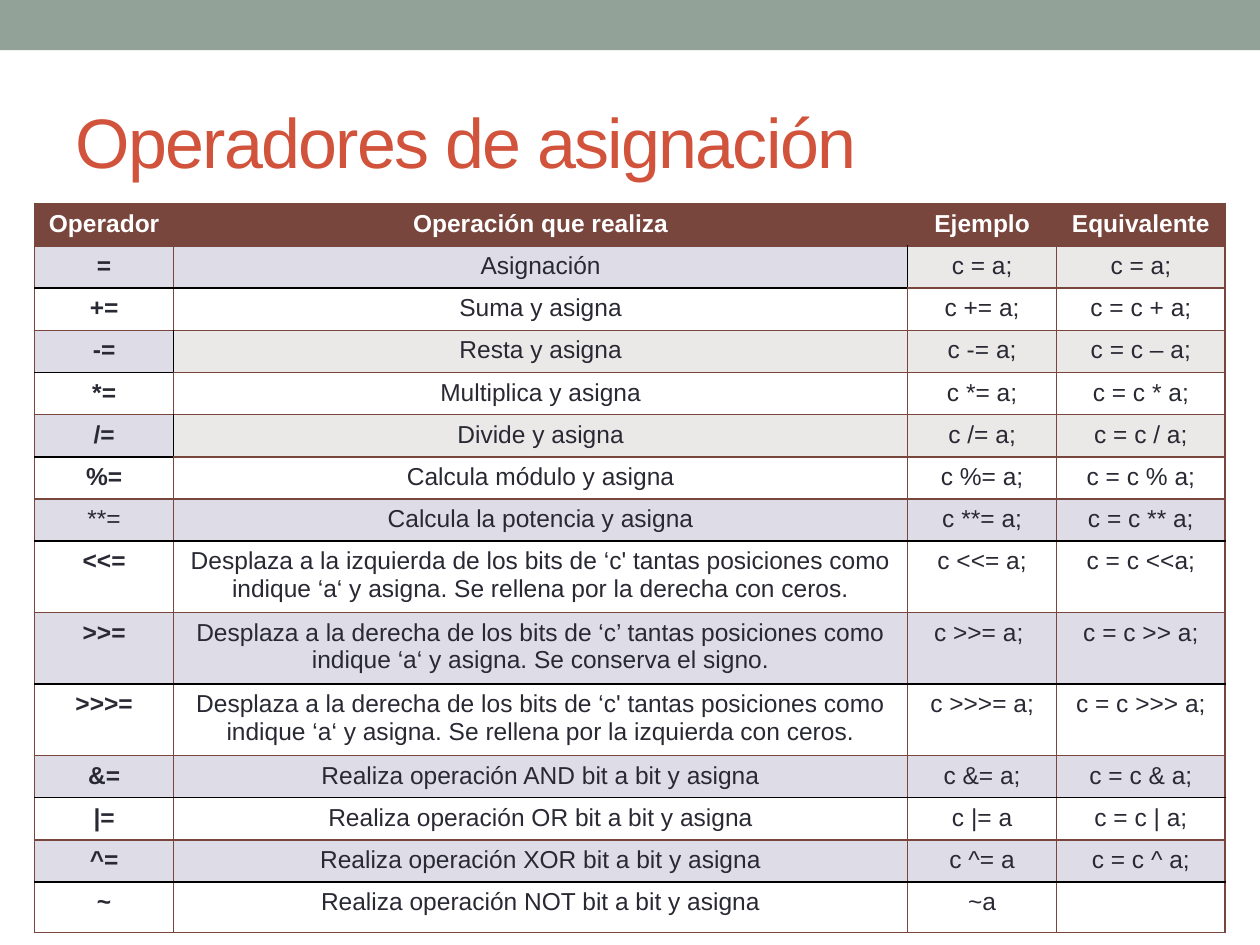
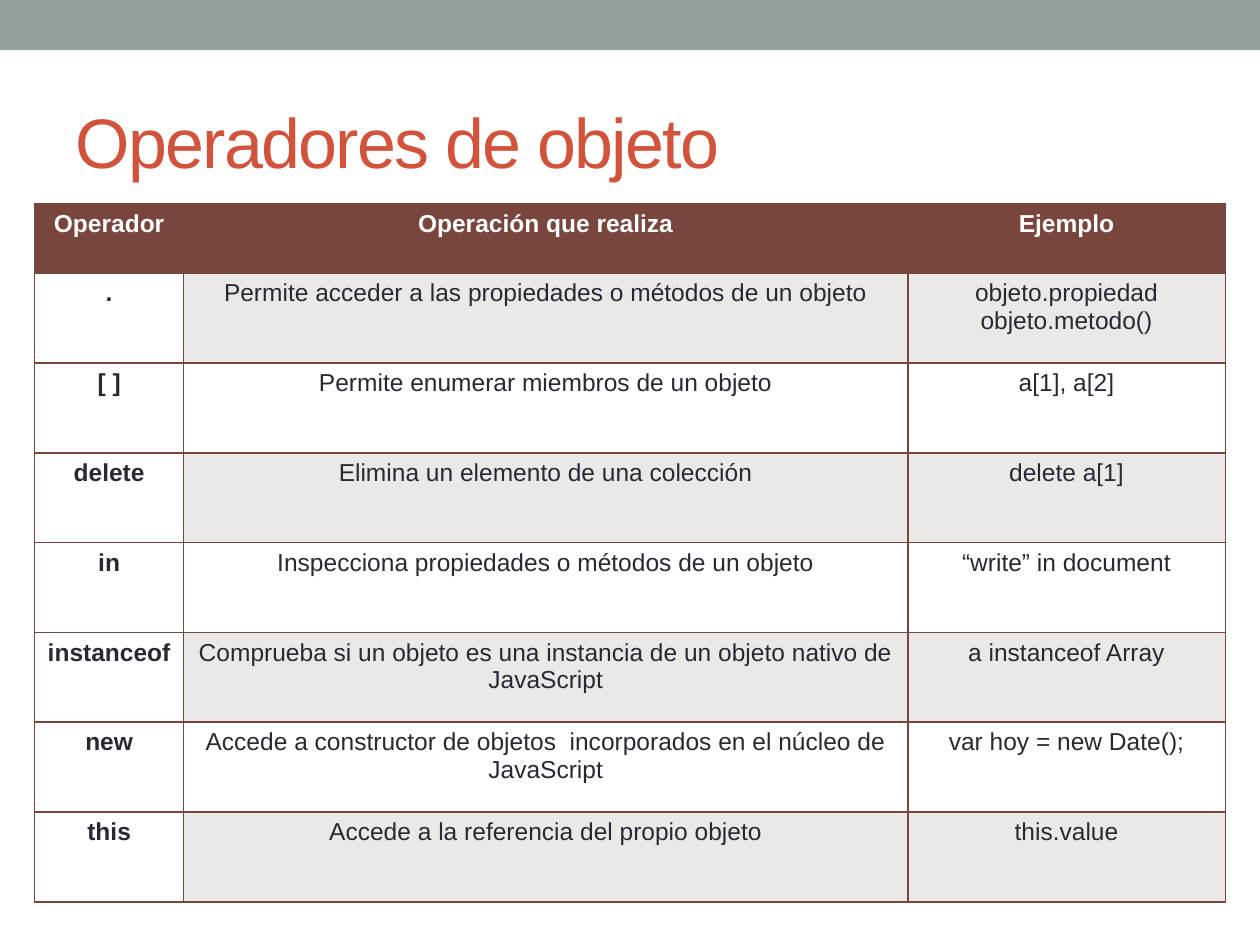
import pptx
import pptx.dml.color
import pptx.enum.shapes
import pptx.enum.text
import pptx.oxml
import pptx.oxml.ns
import pptx.util
from lxml import etree

Cm, Pt = pptx.util.Cm, pptx.util.Pt
qn = pptx.oxml.ns.qn

FONT = "Arial"
BAND, TITLE, BROWN = "93A299", "D2533C", "79463D"
INK, WHITE, BLACK = "292934", "FFFFFF", "000000"
LAVENDER, GREY = "DEDCE6", "EBE8E8"
FILLS = {"H": BROWN, "L": LAVENDER, "G": GREY, "W": WHITE}

# Each row: fill code of every cell, then the cell texts
ASSIGNMENT = {
    "title": "Operadores de asignación",
    "widths": [2.8, 14.8, 3.0, 3.4],
    "heights": [0.85] * 8 + [1.44] * 3 + [0.85] * 3 + [1.02],
    "regular": ["**="],
    "rows": [
        ("HHHH", "Operador", "Operación que realiza", "Ejemplo", "Equivalente"),
        ("LLGG", "=", "Asignación", "c = a;", "c = a;"),
        ("WWWW", "+=", "Suma y asigna", "c += a;", "c = c + a;"),
        ("LGGG", "-=", "Resta y asigna", "c -= a;", "c = c – a;"),
        ("WWWW", "*=", "Multiplica y asigna", "c *= a;", "c = c * a;"),
        ("LGGG", "/=", "Divide y asigna", "c /= a;", "c = c / a;"),
        ("WWWW", "%=", "Calcula módulo y asigna", "c %= a;", "c = c % a;"),
        ("LLLL", "**=", "Calcula la potencia y asigna", "c **= a;", "c = c ** a;"),
        ("WWWW", "<<=",
         "Desplaza a la izquierda de los bits de ‘c' tantas posiciones como "
         "indique ‘a‘ y asigna. Se rellena por la derecha con ceros.",
         "c <<= a;", "c = c <<a;"),
        ("LLLL", ">>=",
         "Desplaza a la derecha de los bits de ‘c’ tantas posiciones como "
         "indique ‘a‘ y asigna. Se conserva el signo.",
         "c >>= a; ", "c = c >> a;"),
        ("WWWW", ">>>=",
         "Desplaza a la derecha de los bits de ‘c' tantas posiciones como "
         "indique ‘a‘ y asigna. Se rellena por la izquierda con ceros.",
         "c >>>= a;", "c = c >>> a;"),
        ("LLLL", "&=", "Realiza operación AND bit a bit y asigna", "c &= a;", "c = c & a;"),
        ("WWWW", "|=", "Realiza operación OR bit a bit y asigna", "c |= a", "c = c | a;"),
        ("LLLL", "^=", "Realiza operación XOR bit a bit y asigna", "c ^= a", "c = c ^ a;"),
        ("WWWW", "~", "Realiza operación NOT bit a bit y asigna", "~a", ""),
    ],
}
OBJECT = {
    "title": "Operadores de objeto",
    "widths": [3.0, 14.6, 6.4],
    "heights": [1.4] + [1.81] * 7,
    "regular": [],
    "rows": [
        ("HHH", "Operador", "Operación que realiza", "Ejemplo"),
        ("WGG", ".", "Permite acceder a las propiedades o métodos de un objeto",
         "objeto.propiedad\nobjeto.metodo()"),
        ("WWW", "[ ]", "Permite enumerar miembros de un objeto", "a[1], a[2]"),
        ("WGG", "delete", "Elimina un elemento de una colección", "delete a[1]"),
        ("WWW", "in", "Inspecciona propiedades o métodos de un objeto",
         "“write” in document"),
        ("WGG", "instanceof",
         "Comprueba si un objeto es una instancia de un objeto nativo de JavaScript",
         "a instanceof Array"),
        ("WWW", "new",
         "Accede a constructor de objetos  incorporados en el núcleo de JavaScript",
         "var hoy = new Date();"),
        ("WGG", "this", "Accede a la referencia del propio objeto", "this.value"),
    ],
}


def rgb(color):
    return pptx.dml.color.RGBColor.from_string(color)


def set_font(p, size, color, bold=False):
    p.font.name, p.font.size, p.font.bold = FONT, Pt(size), bold
    p.font.color.rgb = rgb(color)


def add_band(s, width):
    sp = s.shapes.add_shape(pptx.enum.shapes.MSO_SHAPE.RECTANGLE, 0, 0, width, Cm(1.01))
    sp.shadow.inherit = False
    sp.fill.solid()
    sp.fill.fore_color.rgb = rgb(BAND)
    sp.line.fill.background()


def set_title(s, text):
    sp = s.shapes.title
    sp.left, sp.top, sp.width, sp.height = Cm(1.27), Cm(1.47), Cm(22.86), Cm(2.74)
    tf = sp.text_frame
    tf.text = text
    tf.auto_size = pptx.enum.text.MSO_AUTO_SIZE.NONE
    tf.vertical_anchor = pptx.enum.text.MSO_ANCHOR.MIDDLE
    p = tf.paragraphs[0]
    p.alignment = pptx.enum.text.PP_ALIGN.LEFT
    set_font(p, 40, TITLE)
    for props in sp.element.iter(qn("a:defRPr")):
        props.set("spc", "-100")


def edge_color(rows, before, after):
    """Black where a lavender cell meets another fill to its right or below."""
    def code(pos):
        row, col = pos
        inside = 0 <= row < len(rows) and 0 <= col < len(rows[0][0])
        return rows[row][0][col] if inside else None
    return BLACK if code(before) == "L" and code(after) not in ("L", None) else BROWN


def add_border(props, side, color):
    ln = etree.SubElement(props, qn("a:" + side), w=str(Pt(0.96)))
    fill = etree.SubElement(ln, qn("a:solidFill"))
    etree.SubElement(fill, qn("a:srgbClr"), val=color)


def add_operator_table(s, content):
    rows, widths, heights = content["rows"], content["widths"], content["heights"]
    frame = s.shapes.add_table(len(rows), len(widths), Cm(0.7), Cm(4.11),
                               Cm(sum(widths)), Cm(sum(heights)))
    table = frame.table
    table.first_row = table.horz_banding = False
    for style in frame.element.iter(qn("a:tableStyleId")):
        style.text = "{2D5ABB26-0587-4C30-8999-92F81FD0307C}"  # no style, no grid
    for column, width in zip(table.columns, widths):
        column.width = Cm(width)
    for row, height in zip(table.rows, heights):
        row.height = Cm(height)

    for i, tc in enumerate(frame.element.iter(qn("a:tc"))):
        row, col = divmod(i, len(widths))
        codes, *texts = rows[row]
        here, props = (row, col), tc.get_or_add_tcPr()
        edges = {
            "lnL": ((row, col - 1), here),
            "lnR": (here, (row, col + 1)),
            "lnT": ((row - 1, col), here),
            "lnB": (here, (row + 1, col)),
        }
        for side, (before, after) in edges.items():
            add_border(props, side, edge_color(rows, before, after))
        cell = table.cell(row, col)
        cell.fill.solid()
        cell.fill.fore_color.rgb = rgb(FILLS[codes[col]])
        cell.text = texts[col]
        bold = row == 0 or (col == 0 and texts[0] not in content["regular"])
        for p in cell.text_frame.paragraphs:
            p.alignment = pptx.enum.text.PP_ALIGN.CENTER
            set_font(p, 14, WHITE if row == 0 else INK, bold)


def main():
    prs = pptx.Presentation()
    prs.slide_width, prs.slide_height = Cm(25.4), Cm(19.05)
    for content in (ASSIGNMENT, OBJECT):
        s = prs.slides.add_slide(prs.slide_layouts[5])
        add_band(s, prs.slide_width)
        set_title(s, content["title"])
        add_operator_table(s, content)
    prs.save("out.pptx")


if __name__ == "__main__":
    main()
